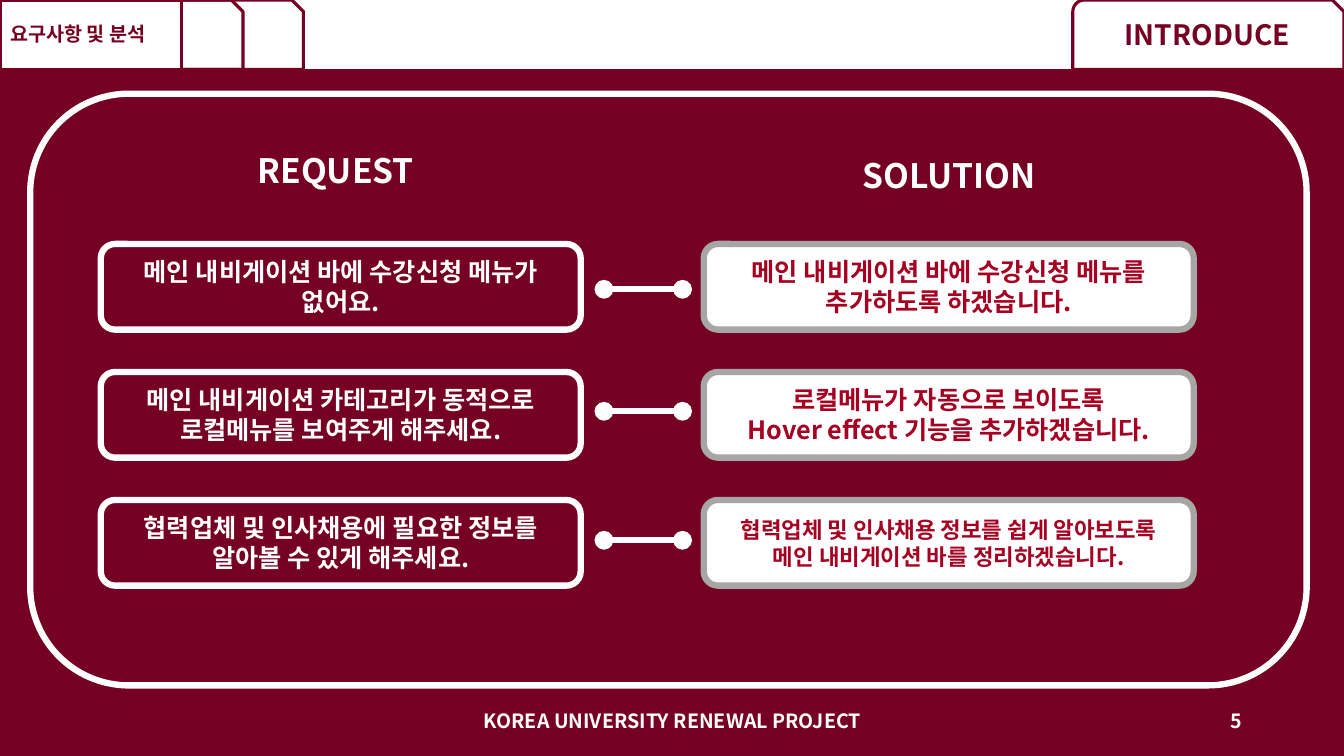
import pptx
import pptx.util
import pptx.dml.color
import pptx.enum.shapes
import pptx.enum.text
import pptx.oxml
import pptx.oxml.ns

Inches = pptx.util.Inches
Pt = pptx.util.Pt
SHAPE = pptx.enum.shapes.MSO_SHAPE
ALIGN = pptx.enum.text.PP_ALIGN
ANCHOR = pptx.enum.text.MSO_ANCHOR
FONT = "Noto Sans CJK KR"
CRIMSON, RED, WHITE, GREY = "760023", "A50021", "FFFFFF", "A6A6A6"

ROWS = [
    ("메인 내비게이션 바에 수강신청 메뉴가\n없어요.",
     "메인 내비게이션 바에 수강신청 메뉴를\n추가하도록 하겠습니다.", 18, 2.87),
    ("메인 내비게이션 카테고리가 동적으로 로컬메뉴를 보여주게 해주세요.",
     "로컬메뉴가 자동으로 보이도록\nHover effect 기능을 추가하겠습니다.", 18, 4.08),
    ("협력업체 및 인사채용에 필요한 정보를 알아볼 수 있게 해주세요.",
     "협력업체 및 인사채용 정보를 쉽게 알아보도록 메인 내비게이션 바를 정리하겠습니다.", 16, 5.36),
]


def rgb(color):
    return pptx.dml.color.RGBColor.from_string(color)


def add_xml(parent, xml):
    parent.append(pptx.oxml.parse_xml(
        xml.replace("/>", " " + pptx.oxml.ns.nsdecls("a") + "/>")))


def place(sp, left, top, width, height):
    sp.left, sp.top = Inches(left), Inches(top)
    sp.width, sp.height = Inches(width), Inches(height)


def paint(sp, fill, line, weight):
    if fill:
        sp.fill.solid()
        sp.fill.fore_color.rgb = rgb(fill)
    else:
        sp.fill.background()
    sp.line.color.rgb = rgb(line)
    sp.line.width = Pt(weight)


def write(sp, text, size, color, align=ALIGN.CENTER, anchor=ANCHOR.MIDDLE, spacing=None):
    tf = sp.text_frame
    tf.text = text
    tf.word_wrap = True
    tf.auto_size = pptx.enum.text.MSO_AUTO_SIZE.NONE
    tf.vertical_anchor = anchor
    for p in tf.paragraphs:
        p.alignment = align
        if spacing:
            p.line_spacing = spacing
        for r in p.runs:
            r.font.size = Pt(size)
            r.font.bold = True
            r.font.name = FONT
            r.font.color.rgb = rgb(color)
            add_xml(r.font._element, f'<a:ea typeface="{FONT}"/>')


def add_box(s, kind, box, fill, line, weight):
    sp = s.shapes.add_shape(kind, *map(Inches, box))
    sp.shadow.inherit = False
    paint(sp, fill, line, weight)
    return sp


def add_label(s, box, text, size, **style):
    sp = s.shapes.add_textbox(*map(Inches, box))
    write(sp, text, size, WHITE, **style)


def add_link(s, y):
    c = s.shapes.add_connector(pptx.enum.shapes.MSO_CONNECTOR.STRAIGHT,
                               Inches(5.99), Inches(y), Inches(6.77), Inches(y))
    c.line.color.rgb = rgb(WHITE)
    c.line.width = Pt(4.5)
    ln = c.line._get_or_add_ln()
    add_xml(ln, '<a:headEnd type="oval"/>')
    add_xml(ln, '<a:tailEnd type="oval"/>')
    add_xml(c.element.spPr, '<a:effectLst/>')


def add_title(s, text):
    sp = s.shapes.title
    place(sp, 0, 0, 1.8, 0.69)
    paint(sp, WHITE, CRIMSON, 2.25)
    write(sp, text, 14, CRIMSON, align=ALIGN.LEFT, spacing=0.9)
    s.shapes.element.append(sp.element)


def main():
    prs = pptx.Presentation()
    prs.slide_width, prs.slide_height = Inches(13.33), Inches(7.5)
    s = prs.slides.add_slide(prs.slide_layouts[5])

    add_box(s, SHAPE.RECTANGLE, (0, 0.69, 13.33, 6.81), CRIMSON, CRIMSON, 1)
    for left in (0.61, 1.21):
        add_box(s, SHAPE.SNIP_ROUND_RECTANGLE, (left, 0, 1.8, 0.69), None, CRIMSON, 2.25)
    add_title(s, "요구사항 및 분석")
    add_box(s, SHAPE.ROUNDED_RECTANGLE, (0.3, 0.93, 12.66, 5.87), None, WHITE, 4.5)
    tab = add_box(s, SHAPE.SNIP_ROUND_RECTANGLE, (10.64, 0, 2.69, 0.69), None, CRIMSON, 2.25)
    write(tab, "INTRODUCE", 20, CRIMSON, spacing=0.9)

    add_label(s, (1.91, 1.44, 2.84, 0.5), "REQUEST", 24, anchor=ANCHOR.TOP)
    add_label(s, (7.99, 1.49, 2.84, 0.5), "SOLUTION", 24, anchor=ANCHOR.TOP)
    for i, (request, solution, size, link_y) in enumerate(ROWS):
        top = 2.42 + 1.27 * i
        sp = add_box(s, SHAPE.ROUNDED_RECTANGLE, (1, top, 4.76, 0.85), None, WHITE, 4.5)
        write(sp, request, 18, WHITE)
        sp = add_box(s, SHAPE.ROUNDED_RECTANGLE, (6.98, top, 4.86, 0.85), WHITE, GREY, 4.5)
        write(sp, solution, size, RED)
        add_link(s, link_y)

    add_label(s, (4.42, 6.95, 4.5, 0.4), "KOREA UNIVERSITY RENEWAL PROJECT", 14)
    add_label(s, (9.42, 6.95, 3, 0.4), "5", 14, align=ALIGN.RIGHT)
    prs.save("out.pptx")


if __name__ == "__main__":
    main()
